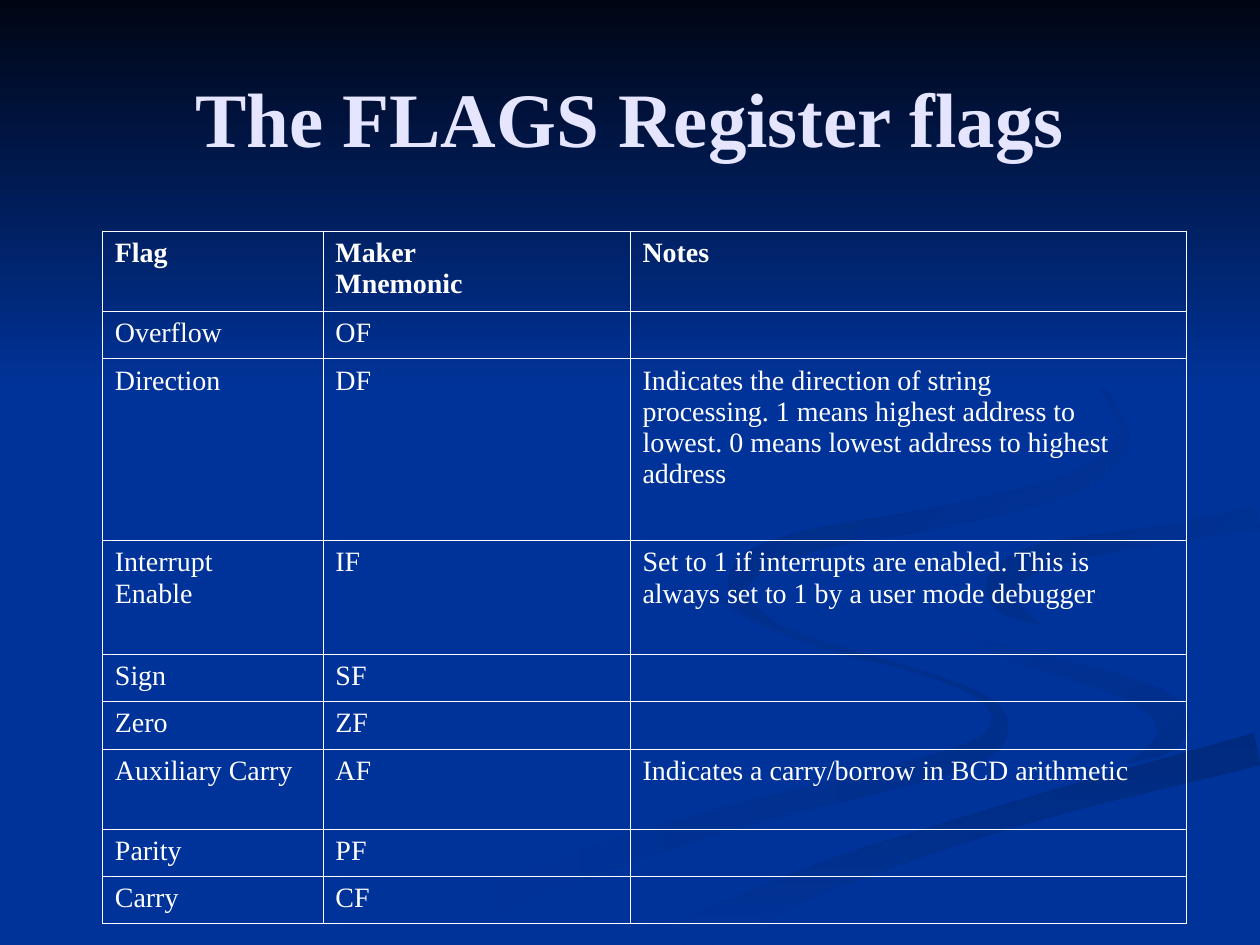
from dataclasses import dataclass
from math import hypot

from lxml.etree import SubElement as Sub
from pptx import Presentation
from pptx.dml.color import RGBColor as RGB
from pptx.enum.shapes import MSO_SHAPE as SHAPE
from pptx.enum.text import MSO_ANCHOR as ANCHOR, PP_ALIGN as ALIGN
from pptx.oxml.ns import qn
from pptx.util import Pt

WIDTH, HEIGHT = 720, 540


@dataclass(frozen=True)
class Theme:
    font: str = "Times New Roman"
    title_size: int = 44
    cell_size: int = 16
    title: str = "E5E5FF"
    text: str = "FFFFFF"
    border: str = "FFFFFF"
    background: str = "003399"
    night: str = "000514"
    shade_soft: str = "002E8B"
    shade_mid: str = "002D86"
    shade_deep: str = "002B82"
    shade_dark: str = "002A7D"
    border_width: float = 0.45
    indent: int = 27


@dataclass(frozen=True)
class Ribbon:
    """A swirl: a centre line of (x, y, ribbon width) knots and a gradient."""
    start: str
    end: str
    angle: int
    knots: list


THEME = Theme()

# Background swirls, from back to front
MAIN_STREAM = Ribbon(THEME.background, THEME.background, 0, [
    (719, 284, 11), (623, 300, 10), (576, 309, 13), (542, 331, 36), (564, 353, 27),
    (605, 368, 16), (662, 385, 24), (695, 403, 32), (672, 429, 14), (625, 443, 7),
    (540, 466, 7), (450, 496, 7), (365, 539, 12)])
LONG_TAIL = Ribbon(THEME.background, THEME.shade_soft, 0, [
    (413, 331, 0), (411, 341, 2), (430, 353, 4), (472, 369, 4), (526, 384, 2),
    (562, 399, 4), (571, 415, 10), (557, 430, 13), (504, 446, 13), (418, 467, 14),
    (330, 495, 18), (271, 521, 20), (238, 539, 20)])
INNER_BEND = Ribbon(THEME.background, THEME.shade_soft, 45, [
    (521, 334, 0), (534, 354, 5), (555, 366, 6), (593, 378, 9), (632, 389, 11),
    (662, 402, 16), (670, 414, 19), (664, 426, 11), (644, 436, 0)])
DARK_SWEEP = Ribbon(THEME.shade_dark, THEME.background, 90, [
    (719, 428, 19), (591, 462, 14), (482, 497, 16), (432, 518, 18), (387, 539, 22)])
RIGHT_HOOK = Ribbon(THEME.shade_mid, THEME.background, 45, [
    (719, 296, 13), (673, 304, 10), (623, 312, 12), (590, 320, 15), (572, 334, 17),
    (577, 347, 10), (595, 357, 0)])
TOP_CURL = Ribbon(THEME.shade_deep, THEME.background, 45, [
    (549, 168, 0), (608, 199, 2), (641, 241, 3), (634, 263, 9), (602, 280, 11),
    (530, 297, 12), (472, 307, 12), (435, 319, 14), (422, 333, 12), (428, 347, 7),
    (448, 360, 0)])
SWIRLS = [MAIN_STREAM, LONG_TAIL, INNER_BEND, DARK_SWEEP, RIGHT_HOOK, TOP_CURL]

# Flag table: row height, then the cells; each line break starts a new paragraph
COLUMNS = [126, 175.5, 318]
SINGLE, DOUBLE = 27, 46
FLAGS = [
    (DOUBLE, "Flag", "Maker\nMnemonic", "Notes"),
    (SINGLE, "Overflow", "OF", ""),
    (104, "Direction", "DF",
     "Indicates the direction of string\nprocessing. 1 means highest address to\n"
     "lowest. 0 means lowest address to highest\naddress"),
    (65, "Interrupt\nEnable", "IF",
     "Set to 1 if interrupts are enabled. This is\nalways set to 1 by a user mode debugger"),
    (SINGLE, "Sign", "SF", ""),
    (SINGLE, "Zero", "ZF", ""),
    (DOUBLE, "Auxiliary Carry", "AF", "Indicates a carry/borrow in BCD arithmetic"),
    (SINGLE, "Parity", "PF", ""),
    (SINGLE, "Carry", "CF", ""),
]


def smooth(knots, steps=5):
    """Run a Catmull-Rom curve through the knots, widths included."""
    padded = [knots[0], *knots, knots[-1]]
    curve = []
    for a, b, c, d in zip(padded, padded[1:], padded[2:], padded[3:]):
        for step in range(steps):
            t = step / steps
            curve.append(tuple(
                (2 * q + (r - p) * t + (2 * p - 5 * q + 4 * r - s) * t ** 2
                 + (3 * q - p - 3 * r + s) * t ** 3) / 2
                for p, q, r, s in zip(a, b, c, d)))
    return curve + [knots[-1]]


def outline(knots):
    """Go down one edge of the ribbon and back up the other, inside the slide."""
    curve = smooth(knots)
    left, right = [], []
    neighbours = zip([curve[0], *curve], curve, [*curve[1:], curve[-1]])
    for before, (x, y, width), after in neighbours:
        dx, dy = after[0] - before[0], after[1] - before[1]
        reach = max(width, 0) / 2 / hypot(dx, dy)
        for edge, side in ((left, reach), (right, -reach)):
            edge.append((Pt(min(x - dy * side, WIDTH)), Pt(min(y + dx * side, HEIGHT))))
    return left + right[::-1]


def write(tf, text, *, font, size, color, bold=False, align=ALIGN.LEFT, indent=0):
    """Fill a text frame, one paragraph per line, with a hanging indent."""
    for i, line in enumerate(text.split("\n")):
        p = tf.add_paragraph() if i else tf.paragraphs[0]
        p.alignment = align
        if indent:
            pPr = p._p.get_or_add_pPr()
            pPr.set("marL", str(Pt(indent)))
            pPr.set("indent", str(-Pt(indent)))
        if not line:  # an empty cell keeps the type size, and so its row height
            Sub(p._p, qn("a:endParaRPr"), sz=str(size * 100))
            continue
        r = p.add_run()
        r.text = line
        r.font.name, r.font.size, r.font.bold = font, Pt(size), bold
        r.font.color.rgb = RGB.from_string(color)


class Deck:
    def __init__(self, theme):
        self.theme = theme
        self.prs = Presentation()
        self.prs.slide_width, self.prs.slide_height = Pt(WIDTH), Pt(HEIGHT)
        self.slide = self.prs.slides.add_slide(self.prs.slide_layouts[5])
        fill = self.slide.background.fill
        fill.solid()
        fill.fore_color.rgb = RGB.from_string(theme.background)

    def shade(self, sp, start, end, angle):
        sp.shadow.inherit = False
        sp.line.fill.background()
        if start == end:
            sp.fill.solid()
            sp.fill.fore_color.rgb = RGB.from_string(start)
            return
        sp.fill.gradient()
        sp.fill.gradient_angle = -angle % 360
        for stop, color in zip(sp.fill.gradient_stops, (start, end)):
            stop.color.rgb = RGB.from_string(color)

    def ribbon(self, ribbon):
        first, *others = outline(ribbon.knots)
        builder = self.slide.shapes.build_freeform(*first)
        builder.add_line_segments(others, close=True)
        self.shade(builder.convert_to_shape(), ribbon.start, ribbon.end, ribbon.angle)

    def top_band(self, height):
        sp = self.slide.shapes.add_shape(SHAPE.RECTANGLE, 0, 0, Pt(WIDTH), Pt(height))
        self.shade(sp, self.theme.night, self.theme.background, 90)

    def title(self, text, left, top, width, height):
        sp, t = self.slide.shapes.title, self.theme
        sp.left, sp.top, sp.width, sp.height = map(Pt, (left, top, width, height))
        self.slide.shapes._spTree.append(sp._element)  # in front of the background
        sp.text_frame.vertical_anchor = ANCHOR.MIDDLE
        write(sp.text_frame, text, font=t.font, size=t.title_size, color=t.title,
              bold=True, align=ALIGN.CENTER)

    def border(self, cell):
        tcPr = cell._tc.get_or_add_tcPr()
        for side in ("lnL", "lnR", "lnT", "lnB"):
            ln = Sub(tcPr, qn(f"a:{side}"), w=str(Pt(self.theme.border_width)))
            Sub(Sub(ln, qn("a:solidFill")), qn("a:srgbClr"), val=self.theme.border)

    def table(self, rows, columns, left, top):
        t = self.theme
        height = sum(row[0] for row in rows)
        table = self.slide.shapes.add_table(
            len(rows), len(columns), Pt(left), Pt(top), Pt(sum(columns)), Pt(height)).table
        table.first_row = table.horz_banding = False
        for column, width in zip(table.columns, columns):
            column.width = Pt(width)
        for i, (row_height, *texts) in enumerate(rows):
            table.rows[i].height = Pt(row_height)
            for cell, text in zip(table.rows[i].cells, texts):
                self.border(cell)
                cell.fill.background()
                write(cell.text_frame, text, font=t.font, size=t.cell_size,
                      color=t.text, bold=i == 0, indent=t.indent)


def main():
    deck = Deck(THEME)
    for swirl in SWIRLS:
        deck.ribbon(swirl)
    deck.top_band(222)
    deck.title("The FLAGS Register flags", 36, 21.6, 648, 90)
    deck.table(FLAGS, COLUMNS, 58.5, 132)
    deck.prs.save("out.pptx")


if __name__ == "__main__":
    main()
